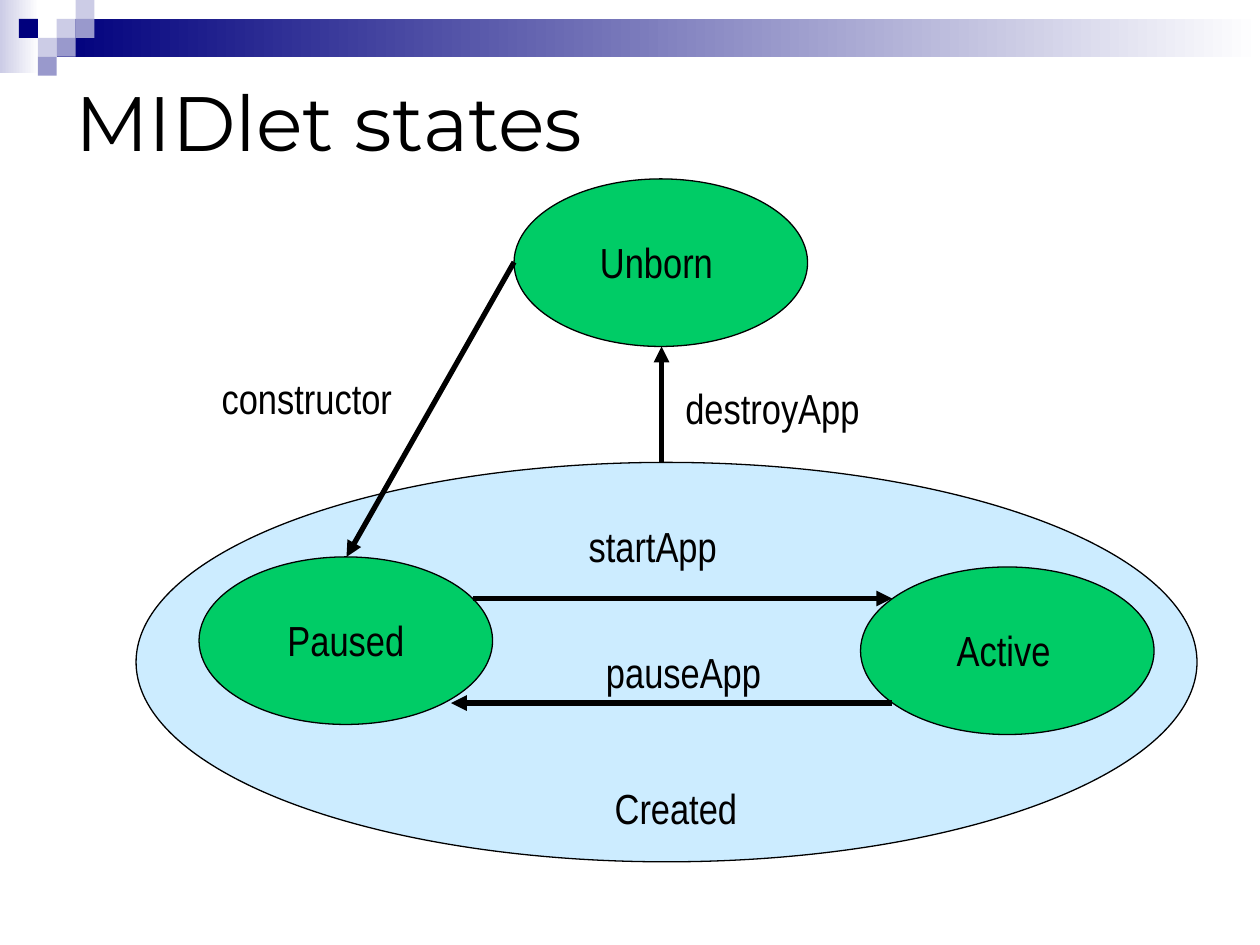
from dataclasses import dataclass

import pptx
import pptx.dml.color
import pptx.enum.dml
import pptx.enum.shapes
import pptx.enum.text
import pptx.oxml
import pptx.oxml.ns
import pptx.util
from pptx.util import Inches

SHAPES = pptx.enum.shapes.MSO_SHAPE
ALIGN = pptx.enum.text.PP_ALIGN
BLACK, WHITE, NAVY = "000000", "FFFFFF", "00007D"
LAVENDER, PERIWINKLE = "CCCCE6", "9999CC"
GREEN, PALE_BLUE = "00CC66", "CCECFF"
GRID = 0.15


@dataclass
class Block:
    left: float
    top: float
    width: float
    height: float
    color: str


@dataclass
class Label:
    text: str
    left: float
    top: float
    width: float


@dataclass
class Arrow:
    start: tuple[float, float]
    end: tuple[float, float]


SQUARES = [
    (3, 1, LAVENDER), (4, 0, LAVENDER), (4, 1, PERIWINKLE), (2, 2, LAVENDER),
    (1, 1, NAVY), (3, 2, PERIWINKLE), (2, 3, PERIWINKLE),
]
BANDS = [Block(0, 0, 0.31, 0.58, LAVENDER), Block(0.45, 0.15, 9.55, 0.3, NAVY)]
STATES = [
    Block(4.08, 1.42, 2.33, 1.33, GREEN),
    Block(1.08, 3.67, 8.42, 3.17, PALE_BLUE),
    Block(1.58, 4.42, 2.33, 1.33, GREEN),
    Block(6.83, 4.5, 2.33, 1.33, GREEN),
]
LABELS = [
    Label("Unborn", 4.64, 1.83, 1.14),
    Label("Active", 7.47, 4.91, 0.99),
    Label("Paused", 2.16, 4.83, 1.17),
    Label("Created", 4.78, 6.16, 1.17),
    Label("constructor", 1.66, 2.91, 1.55),
    Label("destroyApp", 5.34, 2.99, 1.58),
    Label("startApp", 4.57, 4.08, 1.22),
    Label("pauseApp", 4.71, 5.08, 1.43),
]
ARROWS = [
    Arrow((4.08, 2.08), (2.75, 4.42)),
    Arrow((5.25, 3.67), (5.25, 2.75)),
    Arrow((3.75, 4.75), (7.08, 4.75)),
    Arrow((7.08, 5.58), (3.58, 5.58)),
]


def rgb(color: str) -> pptx.dml.color.RGBColor:
    return pptx.dml.color.RGBColor.from_string(color)


def add_block(page, kind, block: Block):
    shape = page.shapes.add_shape(
        kind, Inches(block.left), Inches(block.top), Inches(block.width), Inches(block.height)
    )
    shape.shadow.inherit = False
    shape.fill.solid()
    shape.fill.fore_color.rgb = rgb(block.color)
    shape.line.fill.background()
    return shape


def add_band(page, band: Block) -> None:
    fill = add_block(page, SHAPES.RECTANGLE, band).fill
    fill.gradient()
    fill.gradient_angle = 0
    for stop, color in zip(fill.gradient_stops, (band.color, WHITE)):
        stop.color.rgb = rgb(color)


def add_state(page, state: Block) -> None:
    line = add_block(page, SHAPES.OVAL, state).line
    line.color.rgb = rgb(BLACK)
    line.width = pptx.util.Pt(0.75)


def add_arrow(page, arrow: Arrow) -> None:
    connector = page.shapes.add_connector(
        pptx.enum.shapes.MSO_CONNECTOR.STRAIGHT, *map(Inches, arrow.start + arrow.end)
    )
    connector.line.color.rgb = rgb(BLACK)
    connector.line.width = pptx.util.Pt(3)
    head = pptx.oxml.parse_xml(f'<a:tailEnd {pptx.oxml.ns.nsdecls("a")} type="triangle"/>')
    connector.line._get_or_add_ln().append(head)
    effects = pptx.oxml.parse_xml(f'<a:effectLst {pptx.oxml.ns.nsdecls("a")}/>')
    connector._element.spPr.append(effects)


def add_text(page, label: Label, height: float, font: str, size: int, align):
    box = page.shapes.add_textbox(
        Inches(label.left), Inches(label.top), Inches(label.width), Inches(height)
    )
    frame = box.text_frame
    paragraph = frame.paragraphs[0]
    paragraph.text = label.text
    paragraph.alignment = align
    paragraph.font.name = font
    paragraph.font.size = pptx.util.Pt(size)
    paragraph.font.color.rgb = rgb(BLACK)
    return frame


def add_title(page, title: Label) -> None:
    frame = add_text(page, title, 0.92, "Montserrat", 44, ALIGN.LEFT)
    frame.word_wrap = True
    frame.vertical_anchor = pptx.enum.text.MSO_ANCHOR.MIDDLE


def add_label(page, label: Label) -> None:
    frame = add_text(page, label, 0.5, "Arial Narrow", 24, ALIGN.CENTER)
    frame.word_wrap = False
    frame.auto_size = pptx.enum.text.MSO_AUTO_SIZE.SHAPE_TO_FIT_TEXT


def main() -> None:
    deck = pptx.Presentation()
    deck.slide_width, deck.slide_height = Inches(10), Inches(7.5)
    page = deck.slides.add_slide(deck.slide_layouts[6])
    for band in BANDS:
        add_band(page, band)
    for column, row, color in SQUARES:
        square = Block(column * GRID, row * GRID, GRID, GRID, color)
        add_block(page, SHAPES.RECTANGLE, square)
    add_title(page, Label("MIDlet states", 0.5, 0.5, 9))
    for state in STATES:
        add_state(page, state)
    for arrow in ARROWS:
        add_arrow(page, arrow)
    for label in LABELS:
        add_label(page, label)
    deck.save("out.pptx")


if __name__ == "__main__":
    main()
